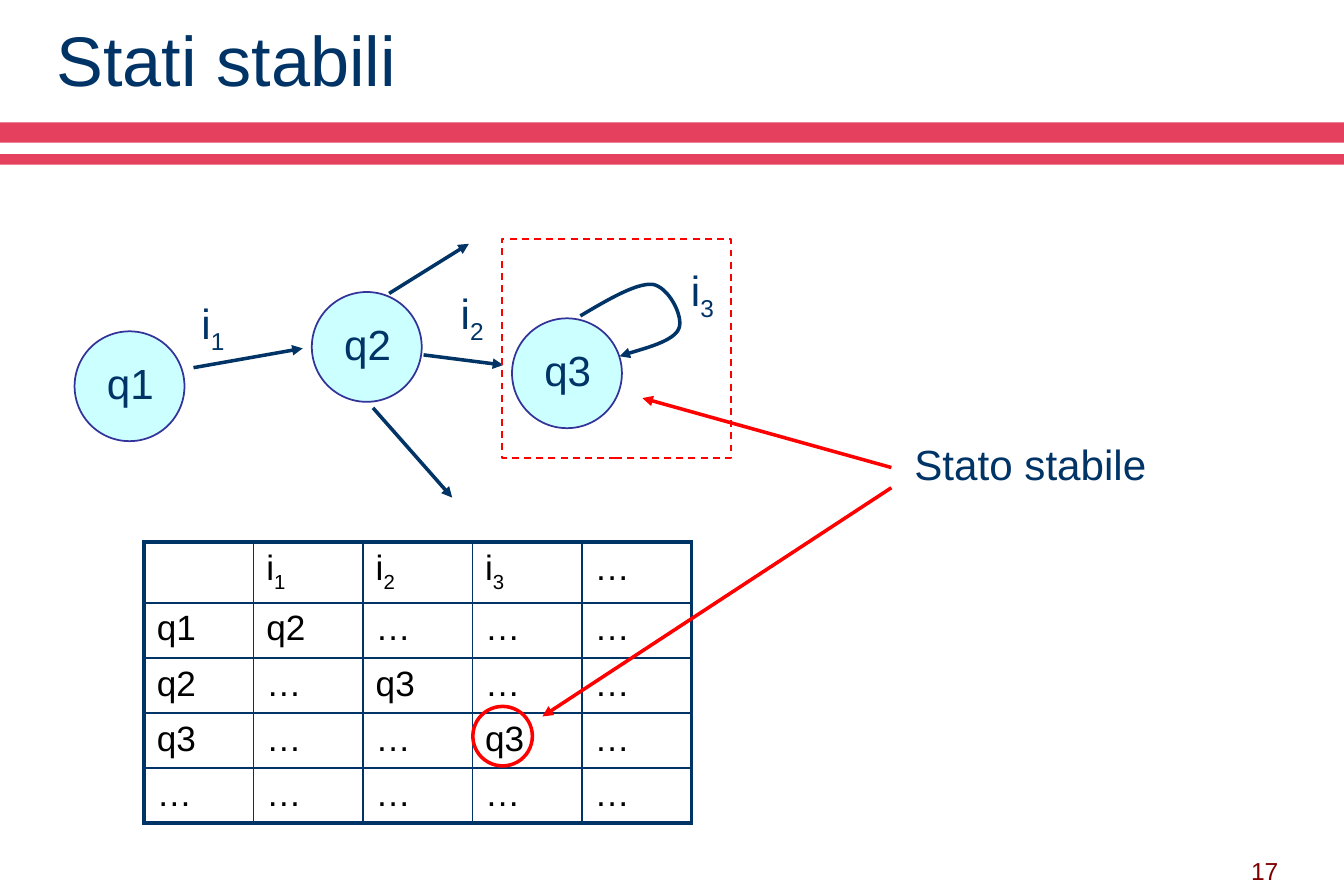
import pptx
import pptx.dml.color
import pptx.enum.dml
import pptx.enum.shapes
import pptx.enum.text
import pptx.oxml
import pptx.oxml.ns
import pptx.util

Pt = pptx.util.Pt
SHAPE = pptx.enum.shapes.MSO_SHAPE
ALIGN = pptx.enum.text.PP_ALIGN
ANCHOR = pptx.enum.text.MSO_ANCHOR
WIDTH, HEIGHT = 765.36, 510.48
COLORS = {
    "navy": "003366",
    "band": "E5405D",
    "state": "CCFFFF",
    "outline": "333399",
    "red": "FF0000",
    "maroon": "800000",
    "black": "000000",
}


def rgb(name):
    return pptx.dml.color.RGBColor.from_string(COLORS[name])


def write(frame, text, size=24, color="navy", align=ALIGN.CENTER, spacing=None):
    para = frame.paragraphs[0]
    para.alignment = align
    if spacing:
        para.line_spacing = spacing
    for index, part in enumerate(text.split("_")):
        span = para.add_run()
        span.text = part
        span.font.name = "Arial"
        span.font.size = Pt(size)
        span.font.color.rgb = rgb(color)
        if index:
            span.font._element.set("baseline", "-25000")


class Drawing:
    def __init__(self, page):
        self.page = page
        self.shapes = page.shapes

    def text(self, text, left, top, width, height, anchor=ANCHOR.TOP, inset=5.4, **style):
        box = self.shapes.add_textbox(Pt(left), Pt(top), Pt(width), Pt(height))
        frame = box.text_frame
        frame.word_wrap = True
        frame.vertical_anchor = anchor
        frame.margin_top = Pt(inset)
        write(frame, text, **style)

    def outline(self, shape, color, weight):
        shape.line.color.rgb = rgb(color)
        shape.line.width = Pt(weight)

    def shape(self, kind, left, top, width, height, fill=None, line=None, weight=1, dashed=False):
        shape = self.shapes.add_shape(kind, Pt(left), Pt(top), Pt(width), Pt(height))
        shape.shadow.inherit = False
        if fill:
            shape.fill.solid()
            shape.fill.fore_color.rgb = rgb(fill)
        else:
            shape.fill.background()
        if line:
            self.outline(shape, line, weight)
        else:
            shape.line.fill.background()
        if dashed:
            shape.line.dash_style = pptx.enum.dml.MSO_LINE.DASH

    def state(self, name, left, top):
        self.shape(SHAPE.OVAL, left, top, 62.6, 62.6, fill="state", line="outline")
        self.text(name, left + 6.2, top + 9.4, 51, 36)

    def arrowhead(self, shape):
        tail = pptx.oxml.parse_xml(
            f'<a:tailEnd {pptx.oxml.ns.nsdecls("a")} type="triangle"/>')
        shape.line._get_or_add_ln().append(tail)

    def arrow(self, start, end, color="navy"):
        line = self.shapes.add_connector(
            pptx.enum.shapes.MSO_CONNECTOR.STRAIGHT, *map(Pt, start + end))
        self.outline(line, color, 2)
        self.arrowhead(line)
        line._element.spPr.append(
            pptx.oxml.parse_xml(f'<a:effectLst {pptx.oxml.ns.nsdecls("a")}/>'))

    def curve(self, points):
        builder = self.shapes.build_freeform(*map(Pt, points[0]))
        builder.add_line_segments([tuple(map(Pt, point)) for point in points[1:]], close=False)
        loop = builder.convert_to_shape()
        loop.shadow.inherit = False
        loop.fill.background()
        self.outline(loop, "navy", 2)
        self.arrowhead(loop)
        qn = pptx.oxml.ns.qn
        segments = list(loop._element.iter(qn("a:lnTo")))
        for first in range(0, len(segments), 3):
            bezier = pptx.oxml.parse_xml(f'<a:cubicBezTo {pptx.oxml.ns.nsdecls("a")}/>')
            segments[first].addprevious(bezier)
            for segment in segments[first:first + 3]:
                bezier.append(segment[0])
                segment.getparent().remove(segment)

    def cell_borders(self, cell, outer):
        properties = cell._tc.get_or_add_tcPr()
        for side in "LRTB":
            weight = Pt(2.25 if side in outer else 1)
            properties.append(pptx.oxml.parse_xml(
                f'<a:ln{side} {pptx.oxml.ns.nsdecls("a")} w="{weight}"><a:solidFill>'
                f'<a:srgbClr val="{COLORS["navy"]}"/></a:solidFill></a:ln{side}>'))

    def table(self, rows, left, top, column_width, row_heights):
        count = len(rows[0])
        table = self.shapes.add_table(
            len(rows), count, Pt(left), Pt(top),
            Pt(column_width * count), Pt(sum(row_heights))).table
        table.first_row = table.horz_banding = False
        for column in table.columns:
            column.width = Pt(column_width)
        for row, height in zip(table.rows, row_heights):
            row.height = Pt(height)
        for y, row in enumerate(rows):
            for x, text in enumerate(row):
                cell = table.cell(y, x)
                edges = {"L": x == 0, "R": x == count - 1, "T": y == 0, "B": y == len(rows) - 1}
                self.cell_borders(cell, [side for side in edges if edges[side]])
                cell.fill.background()
                if text:
                    write(cell.text_frame, text, size=20, color="black", align=ALIGN.LEFT)


def main():
    deck = pptx.Presentation()
    deck.slide_width, deck.slide_height = Pt(WIDTH), Pt(HEIGHT)
    drawing = Drawing(deck.slides.add_slide(deck.slide_layouts[6]))

    for top, height in ((69.8, 11.5), (87.8, 6)):
        drawing.shape(SHAPE.RECTANGLE, 0, top, WIDTH, height, fill="band")
    drawing.text("17", 551.5, 474.5, 183.6, 33.8, anchor=ANCHOR.BOTTOM, inset=3.6,
                 size=14, color="maroon", align=ALIGN.RIGHT)
    drawing.text("Stati stabili", 25.2, 17.3, 617.8, 39.6, anchor=ANCHOR.MIDDLE, inset=3.6,
                 size=40, align=ALIGN.LEFT, spacing=0.85)

    for name, left, top in (("q1", 42.5, 188.8), ("q2", 177.6, 166.4), ("q3", 291.6, 181.4)):
        drawing.state(name, left, top)
    for label, left, top in (("i_1", 98.6, 164.2), ("i_2", 246.2, 158.4), ("i_3", 377.3, 145.4)):
        drawing.text(label, left, top, 45.4, 36)
    for start, end in (
        ((110.2, 209.5), (172.4, 198.5)),
        ((241.2, 202.2), (286.6, 208)),
        ((221.6, 167.2), (267, 138.9)),
        ((212.4, 232.4), (257.5, 283.5)),
    ):
        drawing.arrow(start, end)
    drawing.curve([
        (330.5, 180), (346.3, 170.6), (362.2, 161.3), (371.5, 162), (380.9, 163.4),
        (389.5, 180.7), (386.6, 187.2), (383.8, 194.4), (358.6, 200.9), (352.8, 203),
    ])
    drawing.shape(SHAPE.RECTANGLE, 285.8, 136.1, 130.4, 124.8, line="red", dashed=True)

    drawing.table([
        ["", "i_1", "i_2", "i_3", "…"],
        ["q1", "q2", "…", "…", "…"],
        ["q2", "…", "q3", "…", "…"],
        ["q3", "…", "…", "q3", "…"],
        ["…", "…", "…", "…", "…"],
    ], 82.1, 308.9, 62.35, [34.6] + [31.4] * 4)

    drawing.shape(SHAPE.OVAL, 269.3, 402.5, 33.9, 33.9, line="red", weight=2)
    drawing.text("Stato stabile", 507.6, 244.1, 158.4, 36)
    drawing.arrow((507.6, 266.4), (365.8, 226.8), color="red")
    drawing.arrow((507.6, 277.9), (308.9, 408.2), color="red")

    deck.save("out.pptx")


if __name__ == "__main__":
    main()
